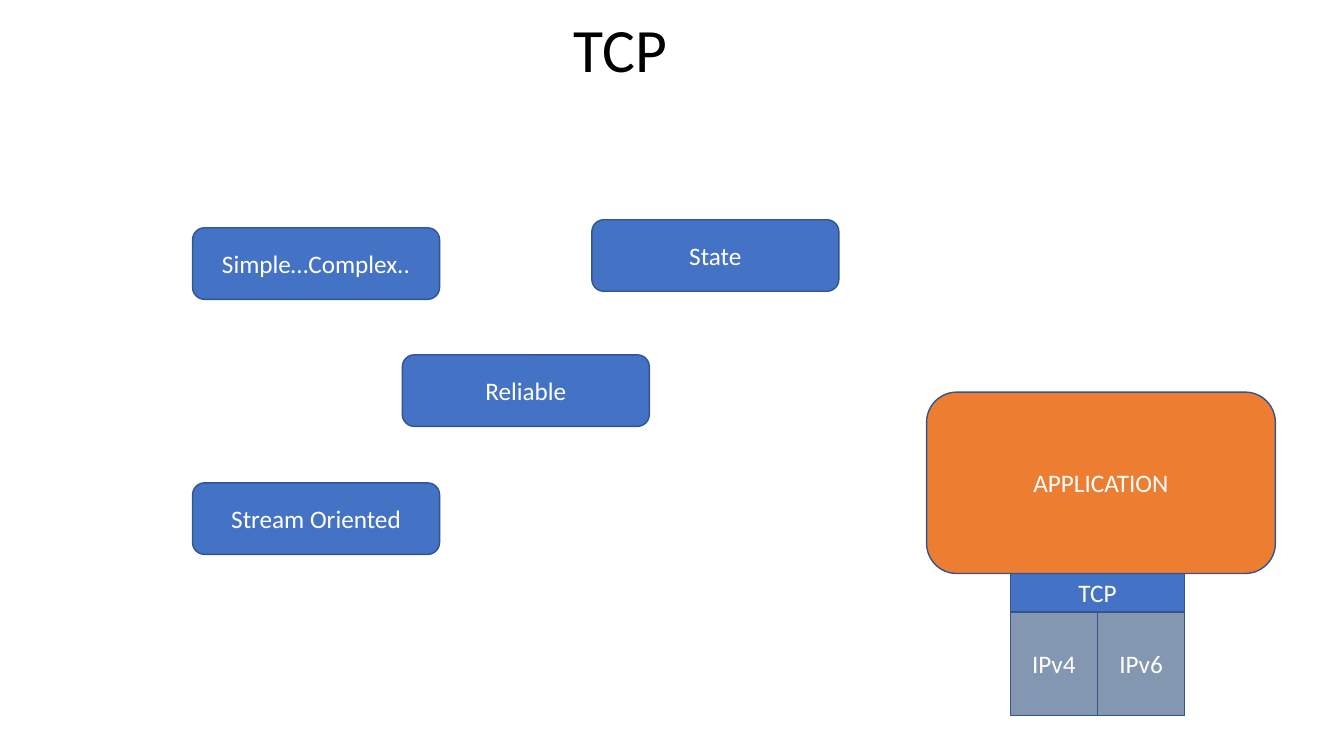
from pptx import Presentation
from pptx.dml.color import RGBColor
from pptx.enum.shapes import MSO_SHAPE
from pptx.enum.text import MSO_ANCHOR, PP_ALIGN
from pptx.util import Inches, Pt

ROUNDED = MSO_SHAPE.ROUNDED_RECTANGLE
RECTANGLE = MSO_SHAPE.RECTANGLE
MIDDLE = MSO_ANCHOR.MIDDLE
CENTER = PP_ALIGN.CENTER
TITLE_ONLY = 5

BLUE = "4472C4"
ORANGE = "ED7D31"
GREY = "8497B0"
OUTLINE = "325491"

FEATURE_SIZE = (2.45, 0.71)
FEATURES = [
    ("Stream Oriented", 1.91, 4.79),
    ("Reliable", 3.99, 3.52),
    ("State", 5.87, 2.18),
    ("Simple…Complex..", 1.91, 2.26),
]

STACK_LEFT = 10.02
STACK_WIDTH = 1.73
IP_TOP = 6.07
IP_VERSIONS = ["IPv4", "IPv6"]


def color(hex_string):
    return RGBColor.from_string(hex_string)


def write_text(shape, text, size=18, ink="FFFFFF", spacing=1.0):
    frame = shape.text_frame
    frame.word_wrap = True
    frame.vertical_anchor = MIDDLE
    para = frame.paragraphs[0]
    para.alignment = CENTER
    para.line_spacing = spacing
    span = para.add_run()
    span.text = text
    span.font.name = "Calibri"
    span.font.size = Pt(size)
    span.font.color.rgb = color(ink)


def add_title(page, text):
    title = page.shapes.title
    title.left, title.top = Inches(1.29), Inches(0)
    title.width, title.height = Inches(9.73), Inches(1.05)
    write_text(title, text, size=44, ink="000000", spacing=0.9)


def add_box(page, text, left, top, width, height, fill=BLUE, kind=RECTANGLE):
    box = page.shapes.add_shape(
        kind, Inches(left), Inches(top), Inches(width), Inches(height)
    )
    box.shadow.inherit = False
    box.fill.solid()
    box.fill.fore_color.rgb = color(fill)
    box.line.color.rgb = color(OUTLINE)
    box.line.width = Pt(1)
    write_text(box, text)


def add_protocol_stack(page):
    ip_width = STACK_WIDTH / len(IP_VERSIONS)
    for index, version in enumerate(IP_VERSIONS):
        left = STACK_LEFT + index * ip_width
        add_box(page, version, left, IP_TOP, ip_width, 1.03, fill=GREY)
    add_box(page, "TCP", STACK_LEFT, 5.69, STACK_WIDTH, 0.38)
    add_box(page, "APPLICATION", 9.19, 3.89, 3.46, 1.8, fill=ORANGE, kind=ROUNDED)


def main():
    deck = Presentation()
    deck.slide_width = Inches(13.33)
    deck.slide_height = Inches(7.5)
    page = deck.slides.add_slide(deck.slide_layouts[TITLE_ONLY])
    add_title(page, "TCP")
    for text, left, top in FEATURES:
        add_box(page, text, left, top, *FEATURE_SIZE, kind=ROUNDED)
    add_protocol_stack(page)
    deck.save("out.pptx")


if __name__ == "__main__":
    main()
